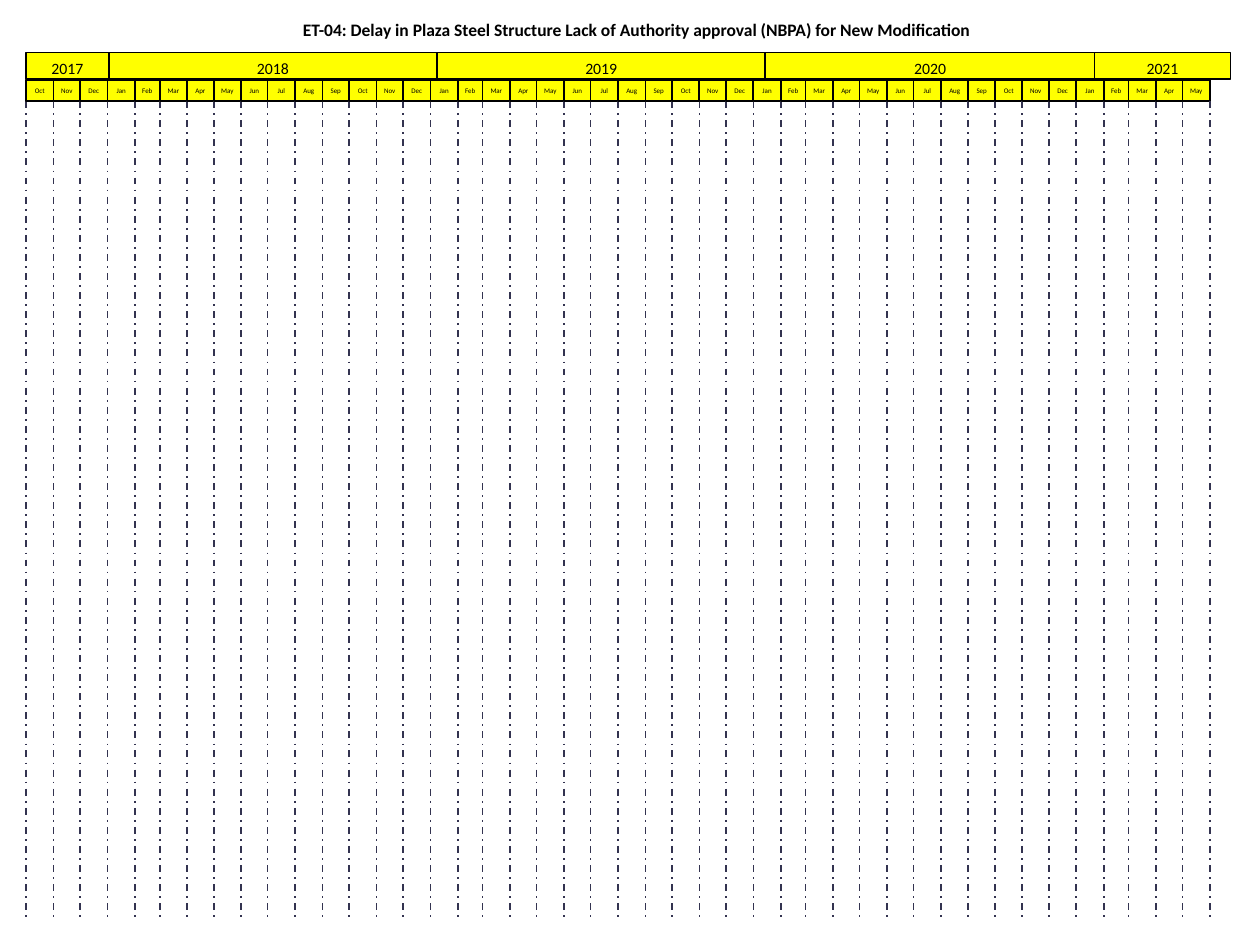
from lxml.etree import SubElement
from pptx import Presentation
from pptx.dml.color import RGBColor
from pptx.enum.dml import MSO_LINE_DASH_STYLE as Dash
from pptx.enum.shapes import MSO_CONNECTOR_TYPE as Link, MSO_SHAPE as Form
from pptx.enum.text import MSO_ANCHOR as Anchor, PP_ALIGN as Align
from pptx.oxml.ns import qn
from pptx.util import Pt

TITLE = ("ET-04: Delay in Plaza Steel Structure Lack of Authority approval "
         "(NBPA) for New Modification")
YEARS = [("2017", 92), ("2018", 365), ("2019", 365), ("2020", 366), ("2021", 151)]
MONTHS = [("Jan", 31), ("Feb", 28), ("Mar", 31), ("Apr", 30), ("May", 31),
          ("Jun", 30), ("Jul", 31), ("Aug", 31), ("Sep", 30), ("Oct", 31),
          ("Nov", 30), ("Dec", 31)]
SPAN = MONTHS[9:] + MONTHS * 3 + MONTHS[:5]

BLACK = RGBColor(0, 0, 0)
YELLOW = RGBColor(0xFF, 0xFF, 0)
NAVY = RGBColor(0x33, 0x33, 0x50)

LEFT = 14.9
RIGHT = 691.4
YEAR_DAY = 0.514
MONTH_DAY = (RIGHT - LEFT) / sum(days for _, days in SPAN)
YEAR_TOP, YEAR_HIGH = 30, 15.2
MONTH_TOP, MONTH_HIGH = 45.8, 12.1
GRID_TOP, GRID_END = 57.8, 525


def write(shape, text, size, bold=False, side=7.2):
    frame = shape.text_frame
    frame.word_wrap = True
    frame.vertical_anchor = Anchor.TOP
    frame.margin_left = frame.margin_right = Pt(side)
    frame.margin_top = frame.margin_bottom = Pt(3.6)
    para = frame.paragraphs[0]
    para.alignment = Align.CENTER
    run = para.add_run()
    run.text = text
    run.font.name = "Calibri"
    run.font.size = Pt(size)
    run.font.bold = bold
    run.font.color.rgb = BLACK


def add_box(x, y, wide, high, text, size, side=7.2):
    box = shapes.add_shape(Form.RECTANGLE, Pt(x), Pt(y), Pt(wide), Pt(high))
    box.shadow.inherit = False
    box.fill.solid()
    box.fill.fore_color.rgb = YELLOW
    box.line.color.rgb = BLACK
    box.line.width = Pt(1)
    write(box, text, size, side=side)


def add_grid(x):
    line = shapes.add_connector(Link.STRAIGHT, Pt(x), Pt(GRID_TOP), Pt(x), Pt(GRID_END))
    line.line.color.rgb = NAVY
    line.line.width = Pt(1)
    line.line.dash_style = Dash.DASH_DOT
    SubElement(line._element.spPr, qn("a:effectLst"))


deck = Presentation()
deck.slide_width, deck.slide_height = Pt(720), Pt(540)
shapes = deck.slides.add_slide(deck.slide_layouts[6]).shapes

title = shapes.add_textbox(Pt(7.2), Pt(7.2), Pt(712.8), Pt(22.3))
write(title, TITLE, 10, bold=True)

x = LEFT
for year, days in YEARS:
    add_box(x, YEAR_TOP, days * YEAR_DAY, YEAR_HIGH, year, 9)
    x += days * YEAR_DAY

x = LEFT
for month, days in SPAN:
    add_grid(x)
    add_box(x, MONTH_TOP, days * MONTH_DAY, MONTH_HIGH, month, 4, side=0)
    x += days * MONTH_DAY
add_grid(x)

deck.save("out.pptx")
